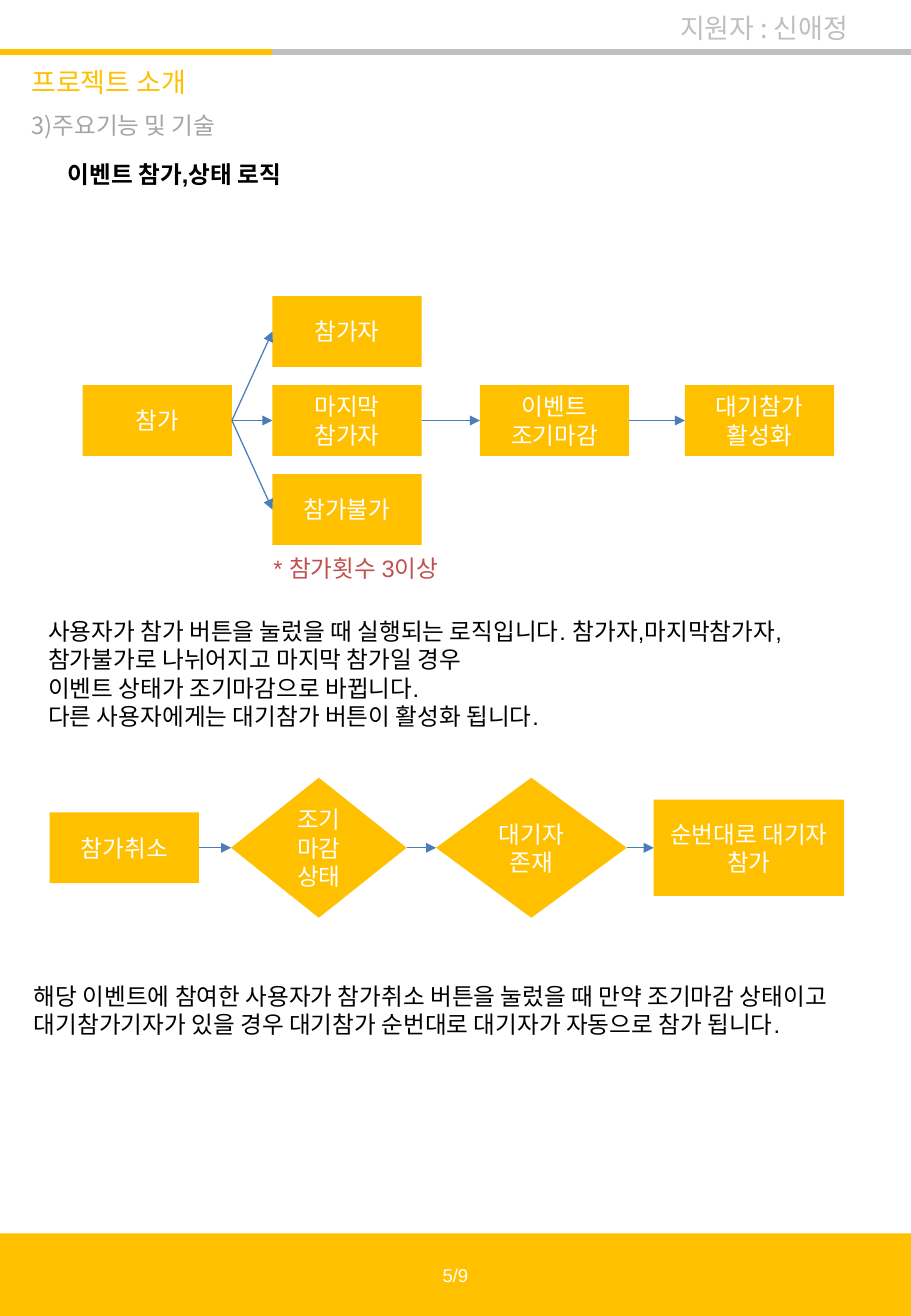
from collections import namedtuple
from dataclasses import dataclass

from pptx import Presentation
from pptx.dml.color import RGBColor
from pptx.enum import shapes, text
from pptx.oxml import ns
from pptx.util import Pt
from lxml import etree

Box = namedtuple("Box", "left top width height")
RECT = shapes.MSO_SHAPE.RECTANGLE
DIAMOND = shapes.MSO_SHAPE.DIAMOND
LEFT_SITE, RIGHT_SITE = 1, 3


@dataclass(frozen=True)
class Theme:
    accent: str = "FFC000"
    rule: str = "BFBFBF"
    muted: str = "A5A5A5"
    arrow: str = "4A7DBA"
    alert: str = "C0504D"
    ink: str = "000000"
    paper: str = "FFFFFF"
    heading_font: str = "Noto Sans CJK KR"
    body_font: str = "Arial"
    title_size: float = 16
    body_size: float = 14
    footer_size: float = 11
    rule_width: float = 3.5
    arrow_width: float = 0.75


THEME = Theme()


def rgb(value):
    return RGBColor.from_string(value)


def points(box):
    return [Pt(length) for length in box]


def inside(box, left, top, width, height):
    return Box(box.left + left, box.top + top, width, height)


def write(frame, lines, color, size=THEME.body_size, font=THEME.body_font,
          bold=False, align=text.PP_ALIGN.LEFT):
    frame.word_wrap = True
    for index, line in enumerate(lines):
        para = frame.add_paragraph() if index else frame.paragraphs[0]
        para.alignment = align
        span = para.add_run()
        span.text = line
        span.font.size = Pt(size)
        span.font.name = font
        span.font.bold = bold
        span.font.color.rgb = rgb(color)


def add_label(page, box, lines, color, **style):
    label = page.shapes.add_textbox(*points(box))
    write(label.text_frame, lines, color, **style)
    label.text_frame.auto_size = text.MSO_AUTO_SIZE.SHAPE_TO_FIT_TEXT


def add_block(page, box, lines, kind=RECT, size=THEME.body_size):
    block = page.shapes.add_shape(kind, *points(box))
    block.shadow.inherit = False
    block.fill.solid()
    block.fill.fore_color.rgb = rgb(THEME.accent)
    block.line.fill.background()
    block.text_frame.vertical_anchor = text.MSO_ANCHOR.MIDDLE
    write(block.text_frame, lines, THEME.paper, size, align=text.PP_ALIGN.CENTER)
    return block


def add_line(page, start, end, color, width):
    line = page.shapes.add_connector(
        shapes.MSO_CONNECTOR.STRAIGHT, *points(start + end))
    line.line.color.rgb = rgb(color)
    line.line.width = Pt(width)
    etree.SubElement(line._element.spPr, ns.qn("a:effectLst"))
    return line


def add_arrow(page, source, target):
    arrow = add_line(page, (0, 0), (0, 0), THEME.arrow, THEME.arrow_width)
    arrow.begin_connect(source, RIGHT_SITE)
    arrow.end_connect(target, LEFT_SITE)
    outline = arrow._element.spPr.get_or_add_ln()
    etree.SubElement(outline, ns.qn("a:tailEnd"), type="triangle")


def add_header(page, box):
    split, rule_top = 161.5, box.top + 31
    for start, end, color in ((0, split, THEME.accent),
                              (split, box.width, THEME.rule)):
        add_line(page, (box.left + start, rule_top), (box.left + end, rule_top),
                 color, THEME.rule_width)
    heading = {"font": THEME.heading_font}
    title = {**heading, "size": THEME.title_size}
    add_label(page, inside(box, 396, 3.5, 129, 26.5), ["지원자 : 신애정"],
              THEME.rule, **title)
    add_label(page, inside(box, 11.5, 35.5, 118, 26.5), ["프로젝트 소개"],
              THEME.accent, **title)
    add_label(page, inside(box, 11.5, 62, 137.5, 24.5), ["3)주요기능 및 기술"],
              THEME.muted, **heading)
    add_label(page, inside(box, 33, 91.5, 153.5, 24.5), ["이벤트 참가,상태 로직"],
              THEME.ink, bold=True)


def add_join_flow(page, box):
    width, height = 88.5, 42
    middle = (box.height - height) / 2
    columns = 0, 112.5, 235.5, 357

    def node(column, top, *lines):
        return add_block(page, inside(box, columns[column], top, width, height), lines)

    join = node(0, middle, "참가")
    member = node(1, 0, "참가자")
    last_member = node(1, middle, "마지막 참가자")
    refused = node(1, box.height - height, "참가불가")
    closed = node(2, middle, "이벤트 조기마감")
    waiting = node(3, middle, "대기참가", "활성화")
    for target in (member, last_member, refused):
        add_arrow(page, join, target)
    add_arrow(page, last_member, closed)
    add_arrow(page, closed, waiting)
    add_label(page, inside(box, 106, box.height + 2, 120, 24.5),
              ["* 참가횟수 3이상"], THEME.alert)


def add_cancel_flow(page, box):
    steps = (
        (0, 88.5, 42, RECT, "참가취소"),
        (107.5, 104, 83, DIAMOND, "조기마감 상태"),
        (229, 113, 83, DIAMOND, "대기자 존재"),
        (358, 113, 57, RECT, "순번대로 대기자 참가"),
    )
    nodes = [
        add_block(page, inside(box, left, (box.height - height) / 2, width, height),
                  [line], kind)
        for left, width, height, kind, line in steps
    ]
    for source, target in zip(nodes, nodes[1:]):
        add_arrow(page, source, target)


def add_explanation(page, box, *lines):
    add_label(page, box, lines, THEME.ink)


def add_footer(page, box):
    add_block(page, box, ["5/9"], size=THEME.footer_size)


def main():
    deck = Presentation()
    deck.slide_width, deck.slide_height = Pt(540), Pt(780)
    page = deck.slides.add_slide(deck.slide_layouts[6])
    add_header(page, Box(0, 0, 540, 116))
    add_join_flow(page, Box(49, 175.5, 445.5, 147.5))
    add_explanation(
        page, Box(21.5, 362, 476.5, 75),
        "사용자가 참가 버튼을 눌렀을 때 실행되는 로직입니다. "
        "참가자,마지막참가자,참가불가로 나뉘어지고 마지막 참가일 경우",
        "이벤트 상태가 조기마감으로 바뀝니다.",
        "다른 사용자에게는 대기참가 버튼이 활성화 됩니다.")
    add_cancel_flow(page, Box(29.5, 461, 471, 83))
    add_explanation(
        page, Box(13, 578.5, 510, 58),
        "해당 이벤트에 참여한 사용자가 참가취소 버튼을 눌렀을 때 만약 조기마감 상태이고 "
        "대기참가기자가 있을 경우 대기참가 순번대로 대기자가 자동으로 참가 됩니다.")
    add_footer(page, Box(0, 731, 540, 49))
    deck.save("out.pptx")


if __name__ == "__main__":
    main()
